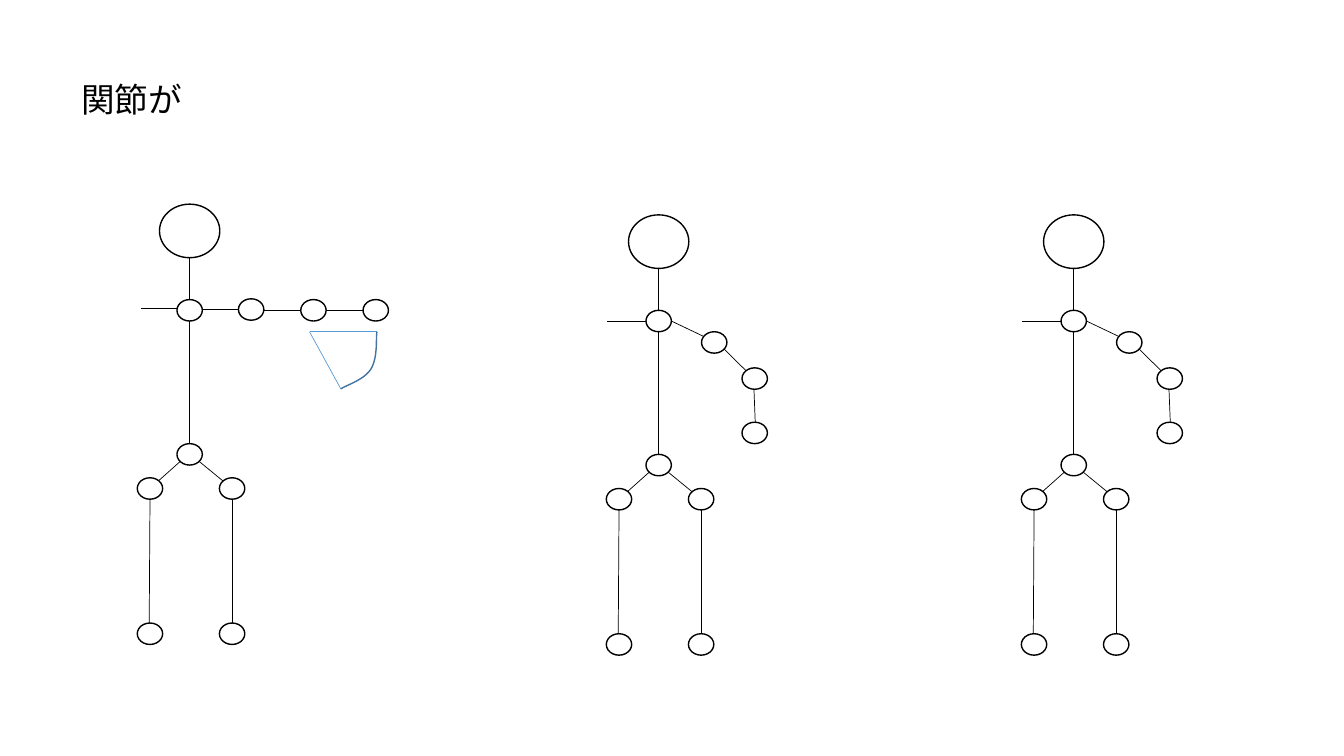
from lxml import etree
from pptx import Presentation
from pptx import util as u
from pptx.dml.color import RGBColor
from pptx.enum import shapes, text
from pptx.oxml import ns

BLACK = RGBColor(0x00, 0x00, 0x00)
WHITE = RGBColor(0xFF, 0xFF, 0xFF)
BLUE = RGBColor(0x5B, 0x9B, 0xD5)
DARK_BLUE = RGBColor(0x43, 0x73, 0x9E)

# Sizes in cm (width, height)
HEAD = (1.52, 1.35)
JOINT = (0.64, 0.54)

# Body parts in cm, measured from the centre of the shoulder joint
HEAD_Y = -2.0
BODY_JOINTS = [(0, 0), (0, 3.63), (-1, 4.49), (1.07, 4.49), (-1, 8.15), (1.07, 8.15)]
BODY_BONES = [
    ((0, -1.32), (0, 0)),  # neck
    ((0, 0.27), (0, 3.36)),  # spine
    ((-0.23, 3.8), (-0.79, 4.3)),  # hips
    ((0.23, 3.8), (0.84, 4.3)),
    ((-1, 4.76), (-1.02, 7.89)),  # legs
    ((1.07, 4.76), (1.07, 7.89)),
]

# Arm poses: the joints, then the bones between them
STRETCHED_ARM = (
    [(1.55, -0.02), (3.12, 0), (4.69, 0)],
    [((-0.32, -0.05), (-1.22, -0.05)), ((0.32, -0.02), (1.23, -0.02)),
     ((1.87, 0), (2.8, 0)), ((3.44, 0), (4.37, 0))],
)
BENT_ARM = (
    [(1.4, 0.54), (2.42, 1.45), (2.42, 2.82)],
    [((-0.32, 0), (-1.31, 0)), ((0.32, 0), (1.16, 0.4)),
     ((1.64, 0.7), (2.28, 1.33)), ((2.4, 1.7), (2.44, 2.74))],
)

# Shoulder centre and arm pose of each figure
FIGURES = [((4.78, 7.82), STRETCHED_ARM), ((16.6, 8.09), BENT_ARM), ((27.06, 8.09), BENT_ARM)]

# Swing of the forearm
SWING_PIVOT = (7.8, 8.36)
SWING_START = (9.5, 8.36)
SWING_END = (8.59, 9.8)
SWING_CURVES = [
    (SWING_START, (9.47, 8.53), (9.53, 8.99), (9.35, 9.3)),
    ((9.35, 9.3), (9.17, 9.58), (8.74, 9.7), SWING_END),
]


def add_heading(slide, words):
    heading = slide.shapes.add_textbox(u.Cm(1.8), u.Cm(0.71), u.Cm(29.21), u.Cm(3.68))
    frame = heading.text_frame
    frame.word_wrap = True
    frame.vertical_anchor = text.MSO_ANCHOR.MIDDLE
    line = frame.paragraphs[0]
    line.line_spacing = 0.9
    run = line.add_run()
    run.text = words
    run.font.name = "Montserrat"
    run.font.size = u.Pt(24)
    run.font.color.rgb = BLACK


def add_bone(slide, start, end, color=BLACK):
    bone = slide.shapes.add_connector(
        shapes.MSO_CONNECTOR.STRAIGHT, *[u.Cm(v) for v in (*start, *end)])
    bone.line.color.rgb = color
    bone.line.width = u.Pt(0.5)
    etree.SubElement(bone._element.spPr, ns.qn("a:effectLst"))


def add_circle(slide, centre, size):
    (x, y), (width, height) = centre, size
    circle = slide.shapes.add_shape(
        shapes.MSO_SHAPE.OVAL, u.Cm(x - width / 2), u.Cm(y - height / 2),
        u.Cm(width), u.Cm(height))
    circle.shadow.inherit = False
    circle.fill.solid()
    circle.fill.fore_color.rgb = WHITE
    circle.line.color.rgb = BLACK
    circle.line.width = u.Pt(1)


def add_figure(slide, shoulder, arm):
    def place(offset):
        return shoulder[0] + offset[0], shoulder[1] + offset[1]

    arm_joints, arm_bones = arm
    # Bones lie behind the joints
    for start, end in BODY_BONES + arm_bones:
        add_bone(slide, place(start), place(end))
    add_circle(slide, place((0, HEAD_Y)), HEAD)
    for joint in BODY_JOINTS + arm_joints:
        add_circle(slide, place(joint), JOINT)


def curve_points(curve, steps=12):
    """Points along a cubic curve, without its first one."""
    for step in range(1, steps + 1):
        t = step / steps
        weights = ((1 - t) ** 3, 3 * t * (1 - t) ** 2, 3 * t ** 2 * (1 - t), t ** 3)
        yield tuple(
            u.Cm(sum(w * point[axis] for w, point in zip(weights, curve))) for axis in (0, 1))


def add_swing(slide):
    for end in (SWING_END, SWING_START):
        add_bone(slide, SWING_PIVOT, end, BLUE)
    builder = slide.shapes.build_freeform(*[u.Cm(v) for v in SWING_START])
    points = [point for curve in SWING_CURVES for point in curve_points(curve)]
    builder.add_line_segments(points, close=False)
    arc = builder.convert_to_shape()
    arc.shadow.inherit = False
    arc.fill.background()
    arc.line.color.rgb = DARK_BLUE
    arc.line.width = u.Pt(1)


def main():
    deck = Presentation()
    deck.slide_width = u.Cm(33.87)
    deck.slide_height = u.Cm(19.05)
    slide = deck.slides.add_slide(deck.slide_layouts[6])

    add_heading(slide, "関節が")
    for shoulder, arm in FIGURES:
        add_figure(slide, shoulder, arm)
    add_swing(slide)

    deck.save("out.pptx")


if __name__ == "__main__":
    main()
